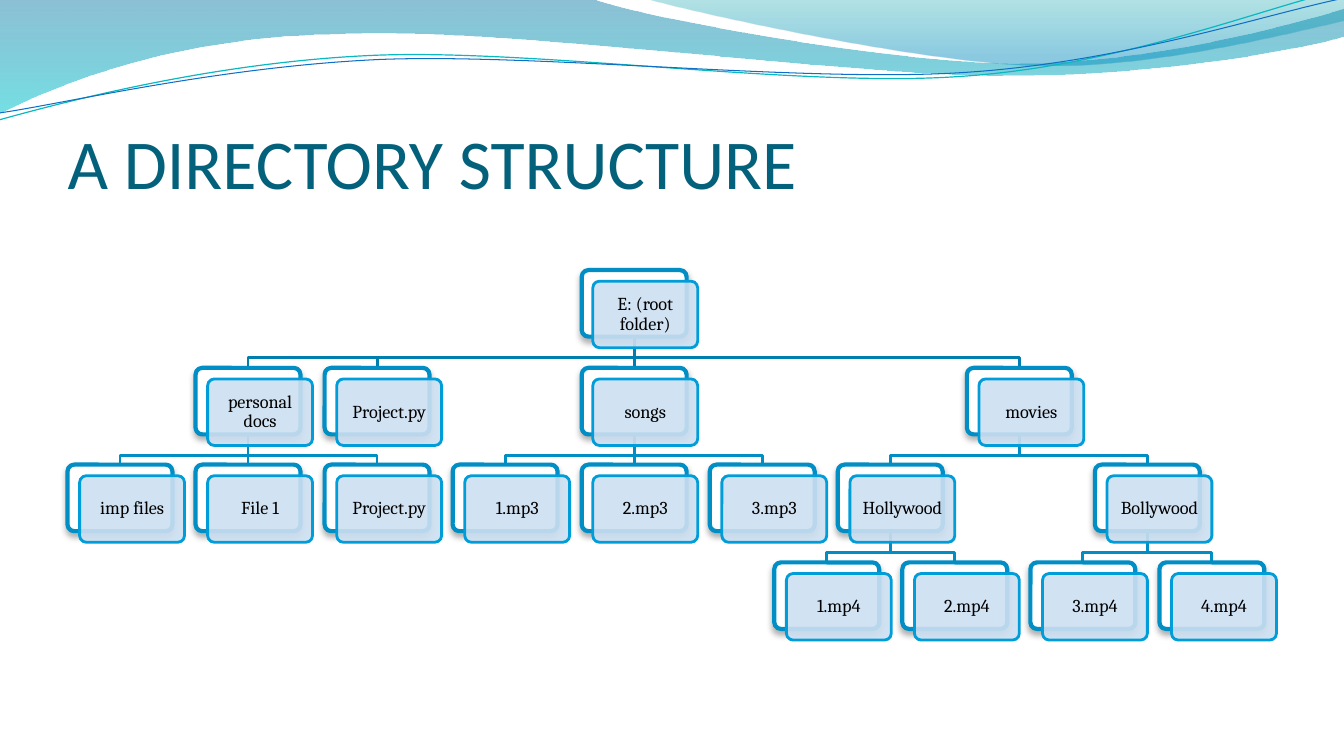
"""Build a slide that shows a directory tree under a wave header."""
import dataclasses
import math
import typing

import pptx
import pptx.dml.color
import pptx.enum.shapes
import pptx.enum.text
import pptx.oxml
import pptx.oxml.ns
import pptx.util

PX = 9144
COLORS = {
    "title": "04617B", "text": "000000", "back": "FFFFFF", "front": "CCDFF1",
    "back_line": "008EC5", "front_line": "009DD9", "root_link": "007EAE",
    "link": "008EC5", "shadow": "5A5A5A", "deep": "0074A1", "aqua": "00C6CF",
    "teal": "00A1A9", "sky": "008BBF", "teal_line": "0AB8BF", "blue_line": "0F6FC6",
}
LEFT, TOP, COL_STEP, ROW_STEP = 67, 268, 127.4, 96.7
CARD_W, CARD_H, OFFSET_X, OFFSET_Y = 104, 66, 11.8, 11
LINK_DROP, LINK_MARGIN = 21, 5
TILT = 357.3

Point = tuple[float, float]


class Stop(typing.NamedTuple):
    position: float
    color: str
    opacity: int


@dataclasses.dataclass(frozen=True)
class Wave:
    start: Point
    segments: tuple[tuple[int, ...], ...]
    stops: tuple[Stop, ...] = ()
    line: str = ""
    width: float = 0
    center: Point = (0, 0)


@dataclasses.dataclass(frozen=True)
class Node:
    name: str
    col: float
    children: tuple["Node", ...] = ()


WAVES = (
    Wave((0, 0), ((587, -1), (634, 17, 885, 63, 1011, 63), (1138, 63, 1278, 26, 1333, 9),
                  (1335, 36), (1311, 44, 1160, 76, 994, 75), (829, 75, 509, 28, 343, 34),
                  (172, 36, 61, 83, -1, 113), (0, 0)),
         stops=(Stop(0, "deep", 45), Stop(1, "aqua", 55))),
    Wave((639, -1), ((679, 11, 909, 62, 1025, 65), (1141, 69, 1282, 32, 1333, 21),
                     (1333, 0), (639, -1)),
         stops=(Stop(0, "teal", 30), Stop(0.8, "sky", 45))),
    Wave((-1, 119), ((64, 101, 211, 62, 369, 55), (527, 48, 790, 87, 950, 76),
                     (1110, 66, 1252, 8, 1331, -10)),
         line="teal_line", width=0.85, center=(665, 57.5)),
    Wave((0, 112), ((63, 103, 218, 66, 378, 59), (537, 53, 796, 82, 955, 72),
                    (1115, 62, 1255, 14, 1334, -2)),
         line="blue_line", width=0.75, center=(667, 59)),
)
TREE = Node("E: (root folder)", 4, (
    Node("personal docs", 1, (Node("imp files", 0), Node("File 1", 1), Node("Project.py", 2))),
    Node("Project.py", 2),
    Node("songs", 4, (Node("1.mp3", 3), Node("2.mp3", 4), Node("3.mp3", 5))),
    Node("movies", 7, (
        Node("Hollywood", 6, (Node("1.mp4", 5.5), Node("2.mp4", 6.5))),
        Node("Bollywood", 8, (Node("3.mp4", 7.5), Node("4.mp4", 8.5))),
    )),
))


def rgb(name: str) -> pptx.dml.color.RGBColor:
    return pptx.dml.color.RGBColor.from_string(COLORS[name])


def make_xml(tag: str, attributes: str = "", inner: str = ""):
    return pptx.oxml.parse_xml(
        f'<a:{tag} {pptx.oxml.ns.nsdecls("a")} {attributes}>{inner}</a:{tag}>')


def find_all(sp, tag: str) -> list:
    return list(sp._element.spPr.iter(pptx.oxml.ns.qn(f"a:{tag}")))


def set_line(sp, color: str, width: float) -> None:
    sp.line.color.rgb = rgb(color)
    sp.line.width = pptx.util.Pt(width)


def set_opacity(sp, *opacities: int) -> None:
    for color, opacity in zip(find_all(sp, "srgbClr"), opacities):
        color.append(make_xml("alpha", f'val="{opacity * 1000}"'))


def add_shadow(sp) -> None:
    find_all(sp, "effectLst")[0].append(make_xml(
        "outerShdw", 'blurRad="57150" dist="38100" dir="5400000" rotWithShape="0"',
        f'<a:srgbClr val="{COLORS["shadow"]}"><a:alpha val="48000"/></a:srgbClr>'))


def write_text(tf, text: str, *, font: str, size: float, color: str, align: str,
               anchor: str, insets: tuple[int, int, int, int], spacing: float = 1) -> None:
    tf.word_wrap = True
    tf.auto_size = pptx.enum.text.MSO_AUTO_SIZE.NONE
    tf.vertical_anchor = pptx.enum.text.MSO_ANCHOR[anchor]
    tf.margin_left, tf.margin_top, tf.margin_right, tf.margin_bottom = (i * PX for i in insets)
    p = tf.paragraphs[0]
    p.alignment = pptx.enum.text.PP_ALIGN[align]
    p.line_spacing = spacing
    r = p.add_run()
    r.text = text
    r.font.name = font
    r.font.size = pptx.util.Pt(size)
    r.font.color.rgb = rgb(color)


def add_outline(s, points: list[Point], closed: bool = False):
    (x, y), *rest = [(px * PX, py * PX) for px, py in points]
    builder = s.shapes.build_freeform(x, y, scale=1.0)
    builder.add_line_segments(rest, close=closed)
    sp = builder.convert_to_shape()
    sp.shadow.inherit = False
    if not closed:
        sp.fill.background()
    return sp


def level(point: Point, center: Point) -> Point:
    angle = math.radians(360 - TILT)
    dx, dy = point[0] - center[0], point[1] - center[1]
    return (center[0] + dx * math.cos(angle) - dy * math.sin(angle),
            center[1] + dx * math.sin(angle) + dy * math.cos(angle))


def bend_segments(sp, wave: Wave) -> None:
    lines = iter(find_all(sp, "lnTo"))
    for segment in wave.segments:
        group = [next(lines) for _ in range(len(segment) // 2)]
        if len(group) == 3:
            curve = make_xml("cubicBezTo")
            group[0].addprevious(curve)
            for line in group:
                curve.append(line[0])
                line.getparent().remove(line)


def add_wave(s, wave: Wave) -> None:
    points = [wave.start, *(p for seg in wave.segments for p in zip(seg[::2], seg[1::2]))]
    if wave.line:
        points = [level(point, wave.center) for point in points]
    sp = add_outline(s, points, closed=bool(wave.stops))
    bend_segments(sp, wave)
    if wave.line:
        sp.rotation = TILT
        set_line(sp, wave.line, wave.width)
        return
    sp.line.fill.background()
    sp.fill.gradient()
    sp.fill.gradient_angle = 270
    for gradient_stop, stop in zip(sp.fill.gradient_stops, wave.stops):
        gradient_stop.position = stop.position
        gradient_stop.color.rgb = rgb(stop.color)
    set_opacity(sp, *(stop.opacity for stop in wave.stops))


def card_corner(node: Node, row: int, dx: float = 0, dy: float = 0) -> tuple[int, int]:
    return round(LEFT + COL_STEP * node.col + dx), round(TOP + ROW_STEP * row + dy)


def add_links(s, node: Node, row: int = 0) -> None:
    x1, y1 = card_corner(node, row, CARD_W / 2, CARD_H)
    for child in node.children:
        x2, y2 = card_corner(child, row + 1, CARD_W / 2)
        bends = [] if x1 == x2 else [(x1, y1 + LINK_DROP), (x2, y1 + LINK_DROP)]
        sp = add_outline(s, [(x1, y1), *bends, (x2, y2)])
        if not bends:
            sp.left, sp.width = (x1 - LINK_MARGIN) * PX, 2 * LINK_MARGIN * PX
            find_all(sp, "path")[0].set("w", str(2 * LINK_MARGIN * PX))
            for point in find_all(sp, "pt"):
                point.set("x", str(LINK_MARGIN * PX))
        set_line(sp, "link" if row else "root_link", 2)
        add_links(s, child, row + 1)


def add_card(s, corner: tuple[int, int], fill: str, line: str, width: float):
    sp = s.shapes.add_shape(pptx.enum.shapes.MSO_SHAPE.ROUNDED_RECTANGLE,
                            *(n * PX for n in (*corner, CARD_W, CARD_H)))
    sp.adjustments[0] = 0.1
    sp.shadow.inherit = False
    sp.fill.solid()
    sp.fill.fore_color.rgb = rgb(fill)
    set_line(sp, line, width)
    return sp


def add_cards(s, node: Node, row: int = 0) -> None:
    add_shadow(add_card(s, card_corner(node, row), "back", "back_line", 3))
    sp = add_card(s, card_corner(node, row, OFFSET_X, OFFSET_Y), "front", "front_line", 2)
    set_opacity(sp, 90)
    write_text(sp.text_frame, node.name, font="Cambria", size=13, color="text",
               align="CENTER", anchor="MIDDLE", insets=(5, 5, 5, 5), spacing=0.9)
    for child in node.children:
        add_cards(s, child, row + 1)


prs = pptx.Presentation()
prs.slide_width, prs.slide_height = pptx.util.Inches(13.33), pptx.util.Inches(7.5)
s = prs.slides.add_slide(prs.slide_layouts[5])
for wave in WAVES:
    add_wave(s, wave)
title = s.shapes.title
title.left, title.top, title.width, title.height = (n * PX for n in (67, 77, 1200, 125))
write_text(title.text_frame, "A DIRECTORY STRUCTURE", font="Calibri", size=50,
           color="title", align="LEFT", anchor="BOTTOM", insets=(0, 5, 0, 0))
add_links(s, TREE)
add_cards(s, TREE)
prs.save("out.pptx")
